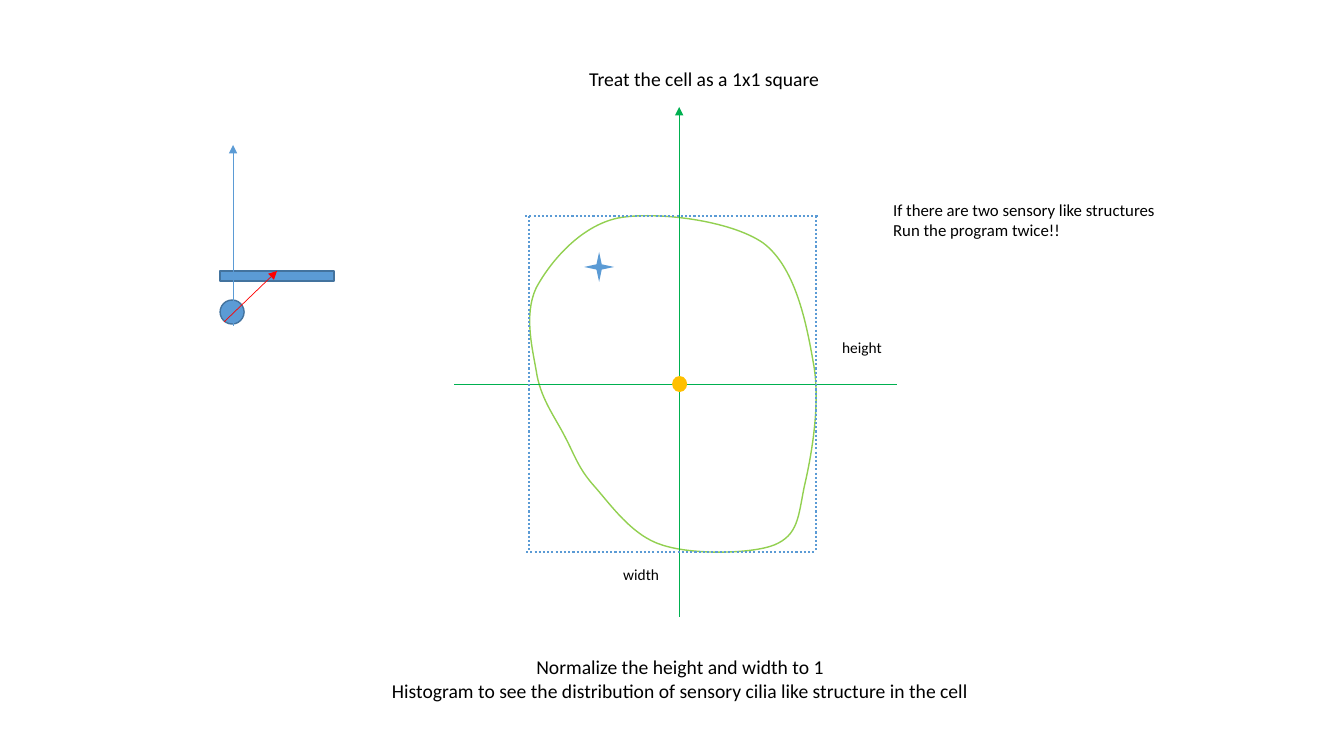
from lxml.etree import SubElement
from pptx import Presentation
from pptx.dml.color import RGBColor
from pptx.enum.dml import MSO_LINE
from pptx.enum.shapes import MSO_CONNECTOR, MSO_SHAPE
from pptx.enum.text import MSO_ANCHOR, PP_ALIGN
from pptx.oxml.ns import qn
from pptx.util import Inches, Pt

THEME = {
    "font": "Calibri", "text": "000000",
    "blue": "5B9BD5", "blue edge": "43739E", "axis": "00B050",
    "outline": "92D050", "centre": "FFC000", "direction": "FF0000",
    "heading": 14, "note": 12, "label": 11,
    "thin": 0.5, "medium": 1, "dotted": 1.5,
}

# Content: boxes are left, top, width, height in pixels
HEADING = ("Treat the cell as a 1x1 square", (579, 62, 253, 34), "heading", PP_ALIGN.LEFT)
TEXTS = [
    ("width", (613, 560, 56, 29), "label", PP_ALIGN.LEFT),
    ("height", (832, 333, 60, 29), "label", PP_ALIGN.LEFT),
    ("Normalize the height and width to 1\n"
     "Histogram to see the distribution of sensory cilia like structure in the cell",
     (379, 650, 602, 57), "heading", PP_ALIGN.CENTER),
    ("If there are two sensory like structures\nRun the program twice!!",
     (883, 195, 285, 50), "note", PP_ALIGN.LEFT),
]
SHAPES = [  # preset, box, fill, edge
    (MSO_SHAPE.FLOWCHART_PROCESS, (220, 271, 114, 10), "blue", "blue edge"),
    (MSO_SHAPE.FLOWCHART_CONNECTOR, (220, 300, 24, 24), "blue", "blue edge"),
    (MSO_SHAPE.FLOWCHART_CONNECTOR, (672, 376, 15, 16), "centre", None),
    (MSO_SHAPE.STAR_4_POINT, (584, 252, 30, 30), "blue", None),
]
AXES = [  # start, end, colour, arrowhead
    ((454, 384), (897, 384), "axis", False),
    ((679, 617), (679, 107), "axis", True),
]
SENSOR_ARROWS = [
    ((233, 326), (233, 145), "blue", True),
    ((224, 322), (277, 271), "direction", True),
]
LEFT, TOP, RIGHT, BOTTOM = 529, 216, 816, 552
BOUNDS = [
    ((LEFT - 4, TOP), (RIGHT + 2, TOP)),
    ((LEFT - 3, BOTTOM), (RIGHT, BOTTOM)),
    ((LEFT, TOP), (LEFT, BOTTOM)),
    ((RIGHT, TOP), (RIGHT, BOTTOM)),
]
CELL_BOX = (530, 216, 286, 338)
CELL_START = (537, 376)
CELL_CURVES = [  # two control points and an end point each
    ((533, 351), (523, 316), (536, 288)),
    ((550, 262), (580, 226), (618, 218)),
    ((655, 211), (730, 220), (763, 243)),
    ((795, 267), (806, 322), (813, 362)),
    ((821, 403), (811, 457), (804, 487)),
    ((798, 517), (798, 535), (774, 545)),
    ((751, 554), (692, 555), (662, 545)),
    ((632, 536), (610, 504), (594, 486)),
    ((578, 468), (575, 456), (565, 437)),
    ((556, 419), (542, 401), CELL_START),
]


def px(pixels):
    return round(pixels * Inches(1) / 100.8)


def scaled(values):
    return [px(value) for value in values]


def colour(name):
    return RGBColor.from_string(THEME[name])


def set_line(line, name, weight):
    line.color.rgb = colour(name)
    line.width = Pt(THEME[weight])


def add_line(start, end, name, weight="thin", arrow=False, dash=None):
    connector = slide.shapes.add_connector(
        MSO_CONNECTOR.STRAIGHT, *scaled(start + end))
    set_line(connector.line, name, weight)
    if dash:
        connector.line.dash_style = dash
    properties = connector._element.spPr
    if arrow:
        SubElement(properties.find(qn("a:ln")), qn("a:tailEnd"), type="triangle")
    SubElement(properties, qn("a:effectLst"))


def add_cell():
    left, top, width, height = CELL_BOX
    builder = slide.shapes.build_freeform(left, top, scale=px(1))
    builder.add_line_segments(
        [(left + width, top), (left + width, top + height), (left, top + height)])
    cell = builder.convert_to_shape()
    cell.left, cell.top, cell.width, cell.height = scaled(CELL_BOX)
    cell.shadow.inherit = False
    cell.fill.background()
    set_line(cell.line, "outline", "medium")

    # Curved outline, in pixels relative to the cell's box
    outline = next(cell._element.iter(qn("a:path")))
    for segment in list(outline):
        outline.remove(segment)
    outline.set("w", str(width))
    outline.set("h", str(height))
    segments = [("a:moveTo", [CELL_START])]
    segments += [("a:cubicBezTo", curve) for curve in CELL_CURVES]
    for tag, points in segments:
        segment = SubElement(outline, qn(tag))
        for x, y in points:
            SubElement(segment, qn("a:pt"), x=str(x - left), y=str(y - top))
    SubElement(outline, qn("a:close"))


def write(shape, text, box, size, alignment):
    shape.left, shape.top, shape.width, shape.height = scaled(box)
    frame = shape.text_frame
    frame.text = text
    frame.word_wrap = False
    frame.vertical_anchor = MSO_ANCHOR.TOP
    for paragraph in frame.paragraphs:
        paragraph.alignment = alignment
        paragraph.line_spacing = 1.0
        paragraph.space_before = Pt(0)
        for run in paragraph.runs:
            run.font.name = THEME["font"]
            run.font.size = Pt(THEME[size])
            run.font.color.rgb = colour("text")


presentation = Presentation()
presentation.slide_width, presentation.slide_height = Inches(13.33), Inches(7.5)
slide = presentation.slides.add_slide(presentation.slide_layouts[5])

# Heading
write(slide.shapes.title, *HEADING)

# Cell outline and its axes
add_cell()
for start, end, name, arrow in AXES:
    add_line(start, end, name, arrow=arrow)

# Sensor, cell centre and cilium
for preset, box, fill, edge in SHAPES:
    shape = slide.shapes.add_shape(preset, *scaled(box))
    shape.shadow.inherit = False
    shape.fill.solid()
    shape.fill.fore_color.rgb = colour(fill)
    if edge:
        set_line(shape.line, edge, "medium")
    else:
        shape.line.fill.background()
for start, end, name, arrow in SENSOR_ARROWS:
    add_line(start, end, name, arrow=arrow)

# Dotted bounds of the cell
for start, end in BOUNDS:
    add_line(start, end, "blue", "dotted", dash=MSO_LINE.ROUND_DOT)

# Labels and notes
for text, box, size, alignment in TEXTS:
    write(slide.shapes.add_textbox(*scaled(box)), text, box, size, alignment)

presentation.save("out.pptx")
